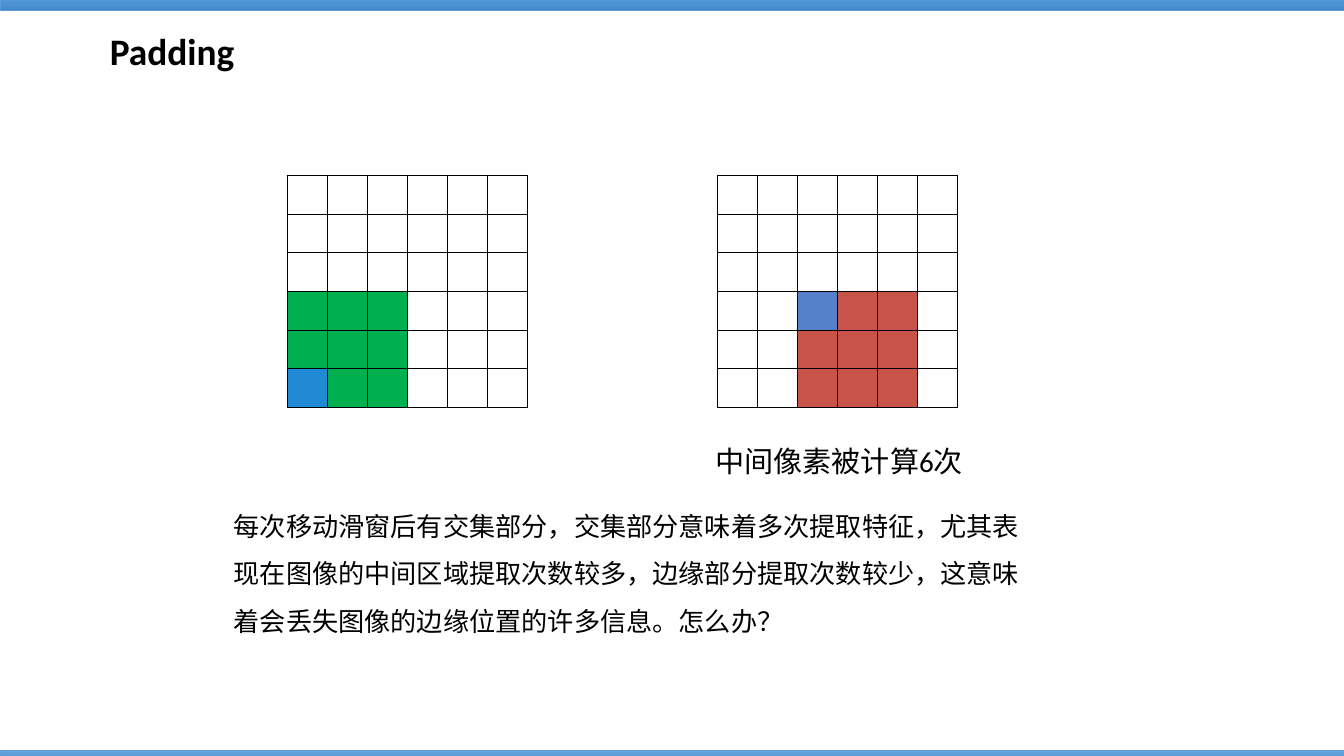
from dataclasses import dataclass

from lxml import etree
from pptx import Presentation
from pptx import util as u
from pptx.dml.color import RGBColor
from pptx.enum import shapes
from pptx.oxml import parse_xml
from pptx.oxml.ns import nsdecls, qn


@dataclass(frozen=True)
class Theme:
    latin: str = "Calibri"
    cjk: str = "Noto Sans CJK SC"
    ink: str = "000000"
    paper: str = "FFFFFF"
    bar_line: str = "5B9BD5"
    bar_stops: tuple = ((0, "71A6DB"), (50, "559BDB"), (100, "448ACA"))
    edge_window: str = "00B050"
    edge_pixel: str = "208AD4"
    middle_window: str = "C75349"
    middle_pixel: str = "5780CA"
    title_size: float = 30.8
    caption_size: float = 24
    body_size: float = 21.6


class PaddingSlide:
    GRID = 6
    WINDOW = 3

    def __init__(self, slide, theme):
        self.slide = slide
        self.theme = theme

    def text(self, content, left, top, width, height, *, size, font=None,
             bold=False, spacing=None):
        box = self.slide.shapes.add_textbox(
            u.Inches(left), u.Inches(top), u.Inches(width), u.Inches(height))
        box.text_frame.word_wrap = True
        paragraph = box.text_frame.paragraphs[0]
        if spacing:
            paragraph.line_spacing = spacing
        run = paragraph.add_run()
        run.text = content
        run.font.name = font or self.theme.latin
        run.font.size = u.Pt(size)
        run.font.bold = bold
        run.font.color.rgb = RGBColor.from_string(self.theme.ink)
        east_asian = etree.SubElement(run.font._element, qn("a:ea"))
        east_asian.set("typeface", self.theme.cjk)

    def bar(self, top, height):
        bar = self.slide.shapes.add_shape(
            shapes.MSO_SHAPE.RECTANGLE, 0, u.Inches(top),
            u.Inches(15.4), u.Inches(height))
        bar.shadow.inherit = False
        bar.line.color.rgb = RGBColor.from_string(self.theme.bar_line)
        bar.line.width = u.Pt(0.5)
        stops = "".join(
            f'<a:gs pos="{position * 1000}"><a:srgbClr val="{color}"/></a:gs>'
            for position, color in self.theme.bar_stops)
        gradient = parse_xml(
            f'<a:gradFill {nsdecls("a")} rotWithShape="1"><a:gsLst>{stops}</a:gsLst>'
            '<a:lin ang="5400000" scaled="0"/></a:gradFill>')
        bar._element.spPr.find(qn("a:prstGeom")).addnext(gradient)

    def pixel_grid(self, left, window_column, window_color, pixel, pixel_color):
        """Draw a grid whose bottom rows hold a sliding window with one marked pixel."""
        width, height = 2.75, 2.66
        table = self.slide.shapes.add_table(
            self.GRID, self.GRID, u.Inches(left), u.Inches(2.01),
            u.Inches(width), u.Inches(height)).table
        table.first_row = table.horz_banding = False
        for column in table.columns:
            column.width = u.Inches(width / self.GRID)
        for row in table.rows:
            row.height = u.Inches(height / self.GRID)
        window_columns = range(window_column, window_column + self.WINDOW)
        for row in range(self.GRID):
            for column in range(self.GRID):
                color = self.theme.paper
                if (row, column) == pixel:
                    color = pixel_color
                elif row >= self.GRID - self.WINDOW and column in window_columns:
                    color = window_color
                self.grid_cell(table.cell(row, column), color)

    def grid_cell(self, cell, color):
        cell.margin_top = cell.margin_bottom = 0
        properties = cell._tc.get_or_add_tcPr()
        for side in ("lnL", "lnR", "lnT", "lnB"):
            properties.append(parse_xml(
                f'<a:{side} {nsdecls("a")} w="{u.Pt(1)}"><a:solidFill>'
                f'<a:srgbClr val="{self.theme.ink}"/></a:solidFill></a:{side}>'))
        cell.fill.solid()
        cell.fill.fore_color.rgb = RGBColor.from_string(color)


def main():
    deck = Presentation()
    deck.slide_width, deck.slide_height = u.Inches(15.4), u.Inches(8.66)
    theme = Theme()
    page = PaddingSlide(deck.slides.add_slide(deck.slide_layouts[6]), theme)

    page.text("Padding", 1.16, 0.27, 4.3, 0.62, size=theme.title_size, bold=True)
    page.pixel_grid(3.29, 0, theme.edge_window, (5, 0), theme.edge_pixel)
    page.pixel_grid(8.22, 2, theme.middle_window, (3, 2), theme.middle_pixel)
    page.text(
        "每次移动滑窗后有交集部分，交集部分意味着多次提取特征，"
        "尤其表现在图像的中间区域提取次数较多，边缘部分提取次数较少，"
        "这意味着会丢失图像的边缘位置的许多信息。怎么办？",
        2.58, 5.62, 9.46, 1.73, size=theme.body_size, font=theme.cjk, spacing=1.5)
    page.bar(-0.18, 0.3)
    page.bar(8.59, 0.14)
    page.text("中间像素被计算6次", 8.1, 5.03, 3.94, 0.5, size=theme.caption_size)

    deck.save("out.pptx")


if __name__ == "__main__":
    main()
